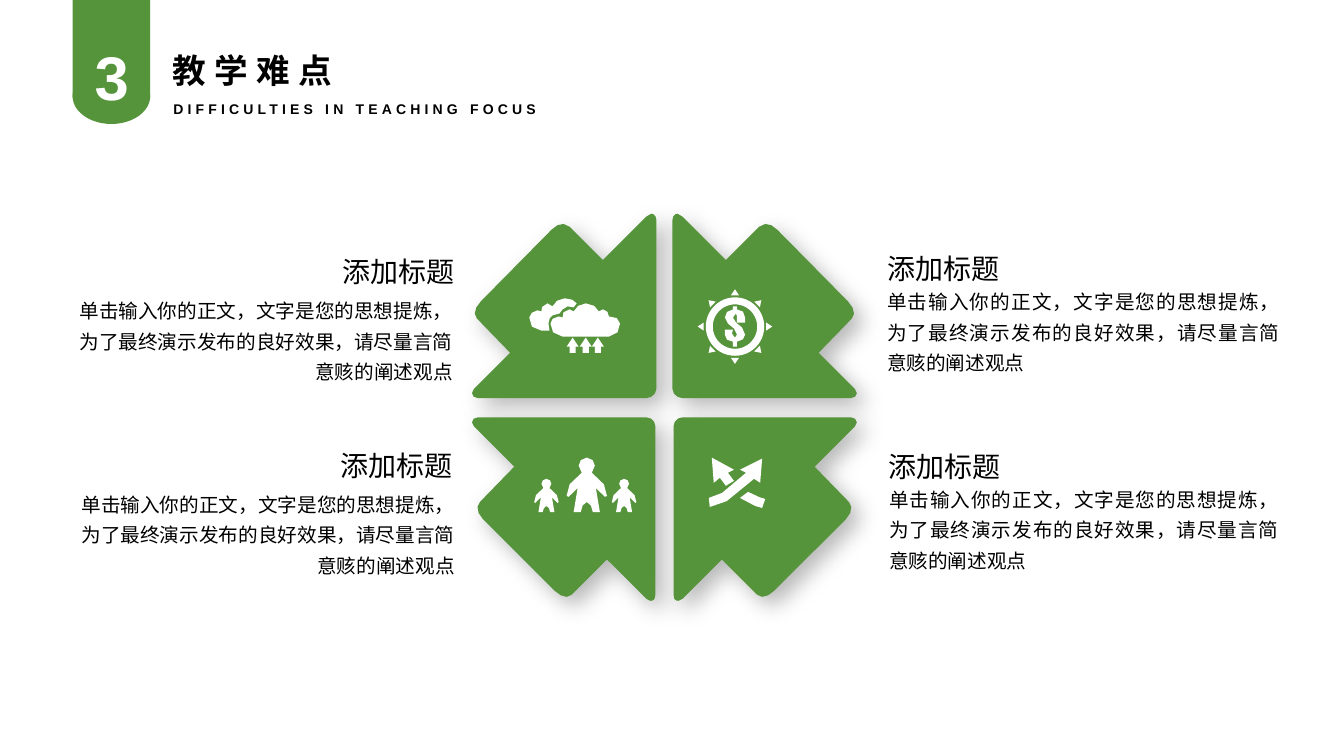
from math import cos, pi, sin

from lxml import etree
from pptx import Presentation
from pptx.dml.color import RGBColor
from pptx.enum.shapes import MSO_SHAPE
from pptx.enum.text import MSO_AUTO_SIZE, PP_ALIGN
from pptx.oxml.ns import qn
from pptx.util import Inches, Pt

OVAL, RECTANGLE, RING = MSO_SHAPE.OVAL, MSO_SHAPE.RECTANGLE, MSO_SHAPE.DONUT
LEFT, RIGHT, JUSTIFY = PP_ALIGN.LEFT, PP_ALIGN.RIGHT, PP_ALIGN.JUSTIFY
GREEN, WHITE, BLACK = "55943A", "FFFFFF", "000000"
HAN, LATIN = "Noto Sans CJK SC", "Arial"

# Text: wording, then box (left, top, width, height), alignment
HEADING = "添加标题"
BODY = "单击输入你的正文，文字是您的思想提炼，为了最终演示发布的良好效果，请尽量言简意赅的阐述观点"
BLOCKS = [
    ((8.7, 2.35, 1.31, 0.54), LEFT, (8.7, 2.76, 4.09, 1.02), JUSTIFY),
    ((8.71, 4.31, 1.31, 0.54), LEFT, (8.72, 4.72, 4.06, 1.02), JUSTIFY),
    ((3.3, 2.38, 1.31, 0.54), RIGHT, (0.54, 2.85, 4.05, 1.02), RIGHT),
    ((3.28, 4.3, 1.31, 0.54), RIGHT, (0.54, 4.77, 4.07, 1.02), RIGHT),
]
TITLE = [
    ("3", (0.84, 0.34, 0.54, 0.84), dict(size=44, font=LATIN, color=WHITE, bold=True)),
    ("教学难点", (1.61, 0.45, 4.68, 0.5), dict(size=24, bold=True, tracking=6)),
    ("DIFFICULTIES IN TEACHING FOCUS", (1.62, 0.92, 4.82, 0.28),
     dict(size=10, font=LATIN, bold=True, tracking=3, spacing=1.14)),
]

# Outlines: (x, y) is a line, six numbers are a Bezier curve
MIRROR_AXIS = 6.59
LEFT_TILES = [
    [(6.46, 2.12), (6.41, 2.15), (5.98, 2.58), (5.65, 2.25),
     (5.59, 2.2, 5.53, 2.22, 5.47, 2.28), (4.77, 2.99),
     (4.71, 3.05, 4.69, 3.12, 4.73, 3.16), (5.06, 3.5), (4.7, 3.86),
     (4.66, 3.9, 4.69, 3.95, 4.74, 3.95),
     (6.41, 3.95), (6.46, 3.95, 6.51, 3.91, 6.51, 3.86), (6.51, 2.18),
     (6.51, 2.14, 6.48, 2.12, 6.46, 2.12)],
    [(6.41, 4.14), (4.74, 4.14), (4.69, 4.14, 4.66, 4.19, 4.7, 4.23), (5.1, 4.63),
     (4.76, 4.98), (4.72, 5.02, 4.73, 5.09, 4.79, 5.15), (5.5, 5.86),
     (5.56, 5.92, 5.63, 5.94, 5.67, 5.9), (6.02, 5.55), (6.41, 5.94), (6.45, 5.96),
     (6.47, 5.96, 6.5, 5.96, 6.5, 5.9), (6.5, 4.23), (6.5, 4.18, 6.46, 4.14, 6.41, 4.14)],
]
CLOUDS = [
    [(5.81, 3.01), (5.74, 3.01, 5.72, 3.05, 5.69, 3.09), (5.65, 3.07),
     (5.59, 3.07, 5.57, 3.12, 5.58, 3.15), (5.54, 3.14),
     (5.49, 3.14, 5.46, 3.18, 5.46, 3.21), (5.46, 3.27, 5.49, 3.34, 5.58, 3.34), (6.04, 3.34),
     (6.12, 3.34, 6.15, 3.27, 6.15, 3.21), (6.15, 3.17, 6.1, 3.13, 6.04, 3.14),
     (6.05, 3.11, 6.01, 3.07, 5.98, 3.07), (5.94, 3.09),
     (5.92, 3.05, 5.88, 3.01, 5.81, 3.01)],
    [(5.6, 2.96), (5.53, 2.96, 5.51, 3, 5.48, 3.04), (5.43, 3.01),
     (5.38, 3.03, 5.36, 3.06, 5.37, 3.09), (5.33, 3.08),
     (5.28, 3.08, 5.26, 3.12, 5.25, 3.15), (5.25, 3.22, 5.28, 3.28, 5.37, 3.28), (5.45, 3.28),
     (5.44, 3.21), (5.44, 3.17, 5.46, 3.14, 5.48, 3.13), (5.55, 3.11),
     (5.56, 3.08, 5.59, 3.06, 5.63, 3.04), (5.69, 3.05), (5.72, 3.01),
     (5.7, 2.98, 5.66, 2.96, 5.6, 2.96)],
]
UP_ARROW = [(0, 0), (-0.06, 0.09), (-0.03, 0.09), (-0.03, 0.15),
            (0.03, 0.15), (0.03, 0.09), (0.06, 0.09)]
UP_ARROW_TIPS = [(5.68, 3.35), (5.81, 3.35), (5.93, 3.35)]
DOLLAR = [
    (7.31, 3.04), (7.27, 3.04), (7.27, 3.07), (7.22, 3.08, 7.19, 3.1, 7.19, 3.15),
    (7.22, 3.21), (7.28, 3.26), (7.31, 3.32), (7.29, 3.35), (7.26, 3.31), (7.27, 3.27),
    (7.19, 3.27), (7.19, 3.32), (7.19, 3.36, 7.22, 3.39, 7.27, 3.39), (7.27, 3.44),
    (7.31, 3.44), (7.31, 3.39), (7.36, 3.39, 7.39, 3.35, 7.39, 3.32), (7.36, 3.25),
    (7.3, 3.2), (7.27, 3.15), (7.3, 3.11), (7.31, 3.14), (7.31, 3.2), (7.39, 3.2),
    (7.39, 3.15), (7.39, 3.1, 7.36, 3.07, 7.31, 3.07),
]
COIN_CENTRE, COIN_RADIUS = (7.29, 3.24), 0.29
RAY = [(0.37, 0), (0.31, -0.04), (0.31, 0.04)]
HALF_PERSON = [
    (0, -0.54), (0.05, -0.54, 0.08, -0.5, 0.08, -0.46), (0.05, -0.39),
    (0.14, -0.36, 0.23, -0.19, 0.2, -0.16), (0.18, -0.15), (0.09, -0.24), (0.13, 0),
    (0.06, 0), (0.06, -0.04, 0.03, -0.1, 0, -0.1),
]
PEOPLE = [(5.42, 0.61), (6.19, 0.61), (5.82, 1)]  # centre, scale
PEOPLE_BASE = 5.08
CROSSED_ARROWS = [
    [(7.42, 4.88), (7.34, 4.94), (7.45, 5.02, 7.56, 5.04, 7.56, 5.04),
     (7.59, 4.95), (7.58, 4.95, 7.51, 4.93, 7.42, 4.88)],
    [(7.56, 4.55), (7.34, 4.66), (7.4, 4.69), (7.26, 4.89, 7.03, 4.94, 7.03, 4.94),
     (7.04, 5.03), (7.06, 5.03, 7.32, 4.97, 7.48, 4.75), (7.54, 4.79)],
    [(7.06, 4.54), (7.08, 4.79), (7.14, 4.74), (7.2, 4.82), (7.28, 4.77),
     (7.22, 4.69), (7.28, 4.66)],
]

deck = Presentation()
deck.slide_width, deck.slide_height = Inches(13.33), Inches(7.5)
page = deck.slides.add_slide(deck.slide_layouts[6])


def paint(shape, color):
    shape.shadow.inherit = False
    shape.fill.solid()
    shape.fill.fore_color.rgb = RGBColor.from_string(color)
    shape.line.fill.background()
    return shape


def add_preset(kind, box, color):
    return paint(page.shapes.add_shape(kind, *map(Inches, box)), color)


def trace(outline, steps=2):
    """Turn lines and Bezier curves into points."""
    points = []
    for part in outline:
        if len(part) == 2:
            points.append(part)
            continue
        corners = [points[-1], part[:2], part[2:4], part[4:]]
        for step in range(1, steps + 1):
            t = step / steps
            weights = ((1 - t) ** 3, 3 * t * (1 - t) ** 2, 3 * t * t * (1 - t), t ** 3)
            points.append(tuple(sum(w * c[axis] for w, c in zip(weights, corners))
                                for axis in (0, 1)))
    return points


def add_outline(contours, color):
    contours = [[(Inches(x), Inches(y)) for x, y in points] for points in contours]
    builder = page.shapes.build_freeform(*contours[0][0])
    for index, points in enumerate(contours):
        if index:
            builder.move_to(*points[0])
        builder.add_line_segments(points[1:], close=True)
    return paint(builder.convert_to_shape(), color)


def add_soft_shadow(shape):
    effects = shape._element.spPr.find(qn("a:effectLst"))
    shadow = etree.SubElement(effects, qn("a:outerShdw"), blurRad=str(Pt(16)),
                              dist=str(Pt(8)), dir=str(45 * 60000), rotWithShape="0")
    tint = etree.SubElement(shadow, qn("a:srgbClr"), val=BLACK)
    etree.SubElement(tint, qn("a:alpha"), val="28000")


def add_text(words, box, size, font=HAN, color=BLACK, bold=False, tracking=0,
             spacing=None, align=LEFT, wrap=True):
    frame = page.shapes.add_textbox(*map(Inches, box)).text_frame
    frame.word_wrap = wrap
    frame.auto_size = MSO_AUTO_SIZE.SHAPE_TO_FIT_TEXT
    para = frame.paragraphs[0]
    para.alignment, para.line_spacing = align, spacing
    span = para.add_run()
    span.text = words
    for name, value in dict(size=Pt(size), name=font, bold=bold).items():
        setattr(span.font, name, value)
    span.font.color.rgb = RGBColor.from_string(color)
    properties = span._r.get_or_add_rPr()
    if tracking:
        properties.set("spc", str(tracking * 100))
    east_asian = etree.Element(qn("a:ea"), typeface=font)
    properties.find(qn("a:latin")).addnext(east_asian)


# Four tiles, the right pair mirrored from the left
for outline in LEFT_TILES:
    tile = trace(outline, steps=3)
    mirrored = [(2 * MIRROR_AXIS - x, y) for x, y in tile]
    for points in (tile, mirrored):
        add_soft_shadow(add_outline([points], GREEN))

# Icons
rain = [[(x + dx, y + dy) for dx, dy in UP_ARROW] for x, y in UP_ARROW_TIPS]
add_outline([trace(cloud) for cloud in CLOUDS] + rain, WHITE)

coin_x, coin_y = COIN_CENTRE
turns = [index * pi / 4 for index in range(8)]
rays = [[(coin_x + x * cos(a) - y * sin(a), coin_y + x * sin(a) + y * cos(a)) for x, y in RAY]
        for a in turns]
add_outline(rays + [trace(DOLLAR)], WHITE)
coin = add_preset(RING, (coin_x - COIN_RADIUS, coin_y - COIN_RADIUS,
                         2 * COIN_RADIUS, 2 * COIN_RADIUS), WHITE)
coin.adjustments[0] = 0.12

half = trace(HALF_PERSON)
person = half + [(-x, y) for x, y in half[-2:0:-1]]
add_outline([[(centre + x * scale, PEOPLE_BASE + y * scale) for x, y in person]
             for centre, scale in PEOPLE], WHITE)
add_outline([trace(arrow) for arrow in CROSSED_ARROWS], WHITE)

# Text blocks beside the tiles
for heading_box, heading_align, body_box, body_align in BLOCKS:
    add_text(BODY, body_box, 14, spacing=1.3, align=body_align)
    add_text(HEADING, heading_box, 20, spacing=1.3, align=heading_align, wrap=False)

# Numbered title
add_preset(OVAL, (0.72, 0.68, 0.77, 0.55), GREEN)
add_preset(RECTANGLE, (0.72, 0, 0.77, 0.97), GREEN)
for words, box, style in TITLE:
    add_text(words, box, **style)

deck.save("out.pptx")
